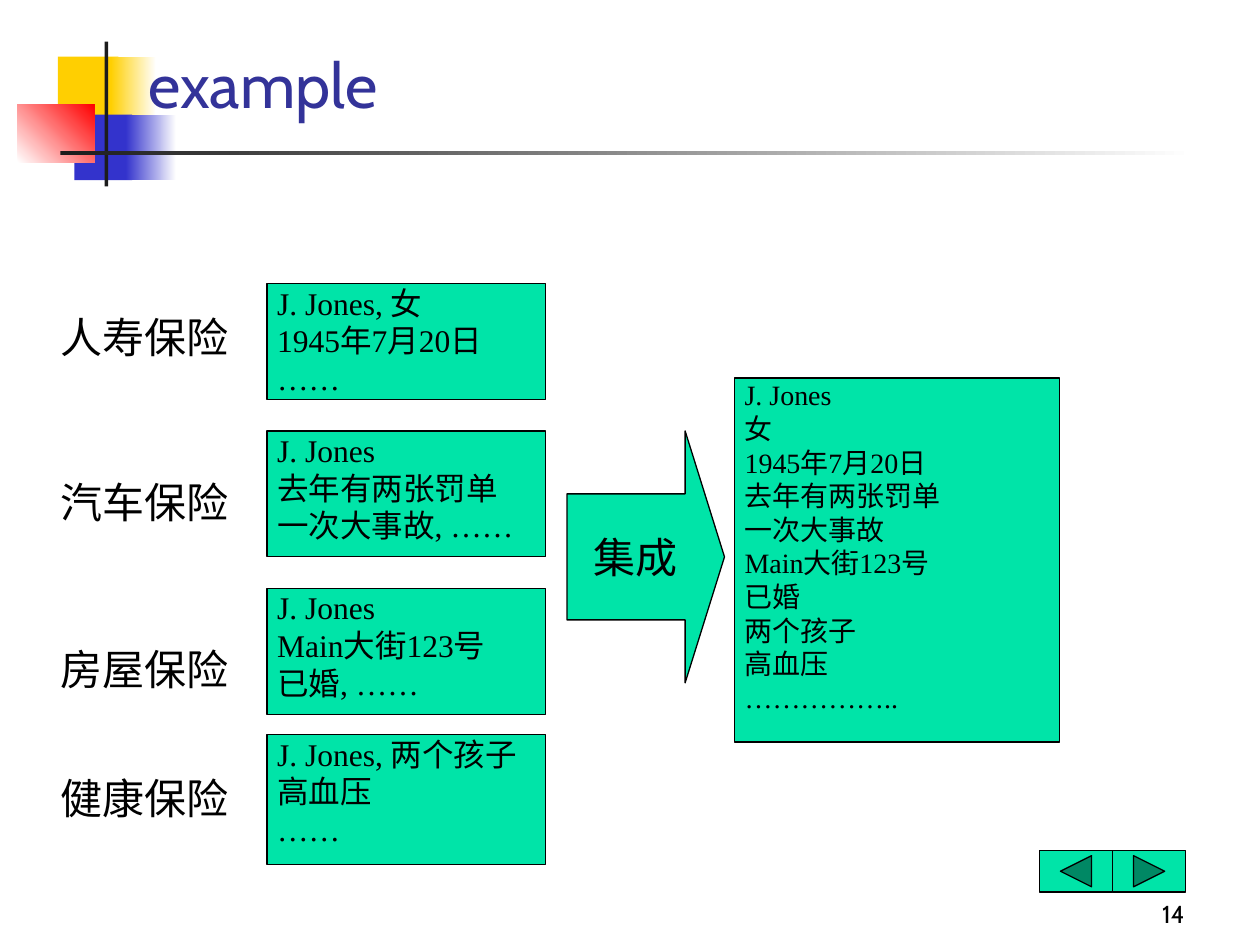
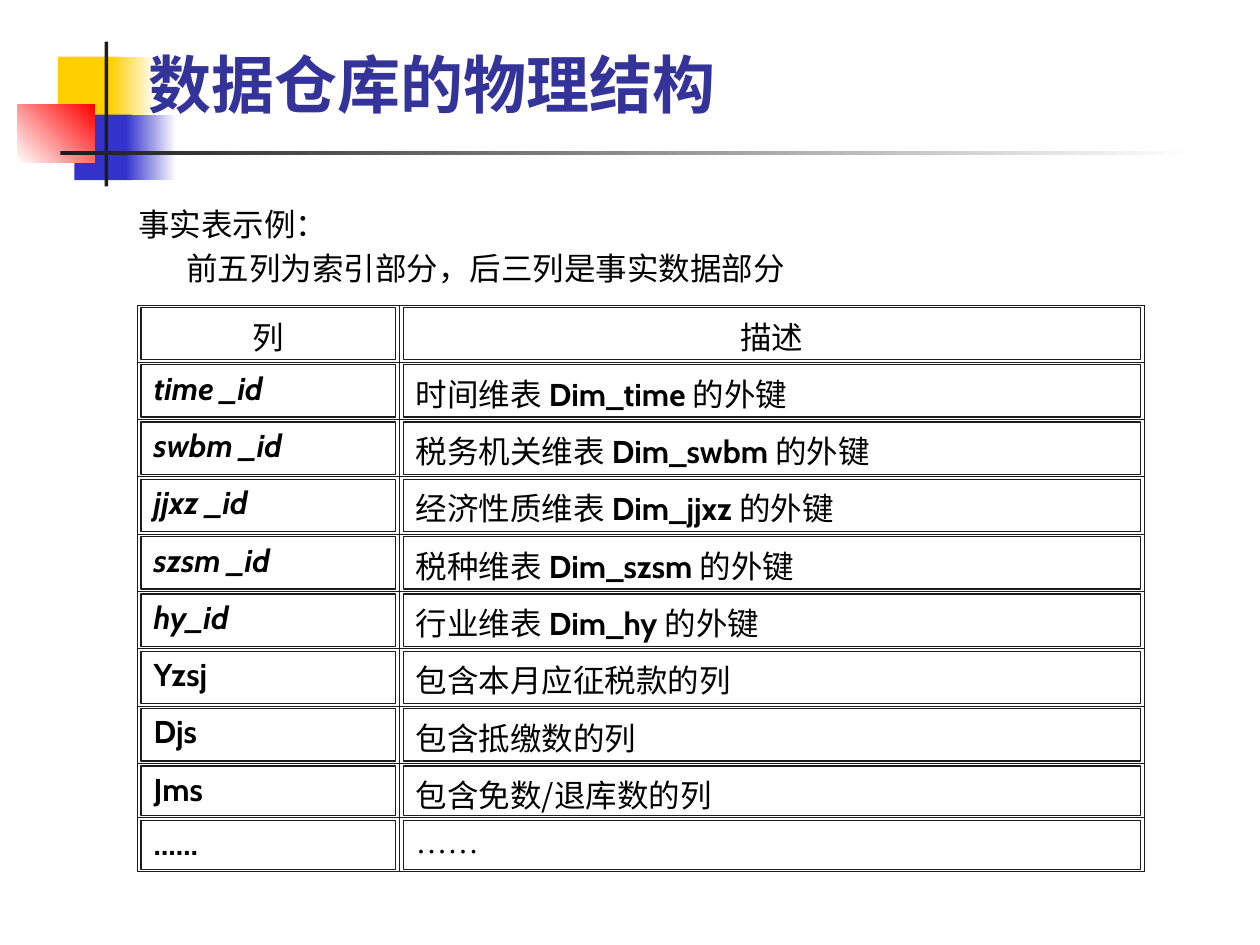
from dataclasses import dataclass
from typing import Any, Optional

from lxml.etree import SubElement
from pptx import Presentation
from pptx.dml.color import RGBColor
from pptx.enum.shapes import MSO_SHAPE
from pptx.enum.text import MSO_ANCHOR, PP_ALIGN
from pptx.oxml.ns import qn
from pptx.util import Inches, Pt

YELLOW = RGBColor(0xFF, 0xCF, 0x01)
BLUE = RGBColor(0x33, 0x33, 0xCC)
RED = RGBColor(0xFF, 0x00, 0x00)
WHITE = RGBColor(0xFF, 0xFF, 0xFF)
CHARCOAL = RGBColor(0x1C, 0x1C, 0x1C)
BLACK = RGBColor(0x00, 0x00, 0x00)
TITLE_COLOR = RGBColor(0x33, 0x33, 0x99)
GREEN = RGBColor(0x00, 0xE4, 0xA8)

CABIN = "Cabin"
NOTO = "Noto Sans CJK SC"
TIMES = "Times New Roman"


@dataclass(frozen=True)
class Box:
    """Position and size in inches."""
    left: float
    top: float
    width: float
    height: float

    def lengths(self) -> tuple:
        """Return the four lengths for python-pptx."""
        return tuple(Inches(v) for v in (self.left, self.top, self.width, self.height))


@dataclass(frozen=True)
class Style:
    """Look of a run of text."""
    size: int
    font: str = CABIN
    color: RGBColor = BLACK
    bold: bool = False
    italic: bool = False


@dataclass(frozen=True)
class Band:
    """One piece of the title decoration, fading when it has an end colour."""
    box: Box
    start: RGBColor
    end: Optional[RGBColor] = None
    angle: int = 0


@dataclass(frozen=True)
class Policy:
    """One insurance source: its label position and its record."""
    name: str
    label_top: float
    record_top: float
    record_height: float
    record: tuple


@dataclass(frozen=True)
class Column:
    """One row of the fact table: column name, description and key target."""
    name: str
    description: str
    dimension: str = ""
    is_key: bool = False


BANDS = (
    Band(Box(0.46, 0.45, 0.48, 0.52), YELLOW),
    Band(Box(0.88, 0.45, 0.36, 0.52), YELLOW, WHITE),
    Band(Box(0.59, 0.91, 0.46, 0.52), BLUE),
    Band(Box(1, 0.91, 0.4, 0.52), BLUE, WHITE),
    Band(Box(0.14, 0.83, 0.61, 0.46), WHITE, RED, 45),
    Band(Box(0.83, 0.33, 0.03, 1.15), CHARCOAL),
    Band(Box(0.48, 1.2, 9, 0.03), CHARCOAL, WHITE),
)

POLICIES = (
    Policy("人寿保险", 2.42, 2.25, 0.92, ("J. Jones, 女", "1945年7月20日", "……")),
    Policy("汽车保险", 3.73, 3.42, 1, ("J. Jones", "去年有两张罚单", "一次大事故, ……")),
    Policy("房屋保险", 5.06, 4.67, 1, ("J. Jones", "Main大街123号", "已婚, ……")),
    Policy("健康保险", 6.08, 5.83, 1.03, ("J. Jones, 两个孩子", "高血压", "……")),
)
MERGED_RECORD = ("J. Jones", "女", "1945年7月20日", "去年有两张罚单", "一次大事故",
                 "Main大街123号", "已婚", "两个孩子", "高血压", "……………..")

FACT_COLUMNS = (
    Column("time _id", "时间维表 ", "Dim_time ", True),
    Column("swbm _id", "税务机关维表 ", "Dim_swbm ", True),
    Column("jjxz _id", "经济性质维表 ", "Dim_jjxz ", True),
    Column("szsm _id", "税种维表 ", "Dim_szsm ", True),
    Column("hy_id", "行业维表 ", "Dim_hy ", True),
    Column("Yzsj", "包含本月应征税款的列"),
    Column("Djs", "包含抵缴数的列"),
    Column("Jms", "包含免数/退库数的列"),
    Column("……", "……"),
)

RECORD_FRAME = {"margin_left": Inches(0.08), "margin_right": 0, "margin_top": 0,
                "margin_bottom": 0, "vertical_anchor": MSO_ANCHOR.TOP, "word_wrap": True}
BOTTOM_FRAME = {"vertical_anchor": MSO_ANCHOR.BOTTOM, "word_wrap": True}
CELL_FORMAT = {"margin_left": Inches(0.13), "margin_right": Inches(0.13),
               "margin_top": Inches(0.06), "margin_bottom": 0,
               "vertical_anchor": MSO_ANCHOR.TOP}


def apply_format(target: Any, values: dict) -> None:
    """Set every attribute named in values."""
    for attribute, value in values.items():
        setattr(target, attribute, value)


def add_run(paragraph: Any, text: str, style: Style) -> None:
    """Append styled text to a paragraph."""
    run = paragraph.add_run()
    run.text = text
    apply_format(run.font, {"size": Pt(style.size), "name": style.font,
                            "bold": style.bold, "italic": style.italic})
    run.font.color.rgb = style.color
    SubElement(run.font._element, qn("a:ea"), typeface=NOTO)


def write_lines(frame: Any, lines: tuple, style: Style, align: PP_ALIGN) -> None:
    """Fill a text frame with one paragraph per line."""
    for index, line in enumerate(lines):
        paragraph = frame.add_paragraph() if index else frame.paragraphs[0]
        paragraph.alignment = align
        add_run(paragraph, line, style)


def add_text(slide: Any, box: Box, lines: tuple, style: Style, frame_format: dict,
             align: PP_ALIGN = PP_ALIGN.LEFT) -> Any:
    """Add a text box and return its frame."""
    frame = slide.shapes.add_textbox(*box.lengths()).text_frame
    apply_format(frame, frame_format)
    write_lines(frame, lines, style, align)
    return frame


def add_outlined(slide: Any, kind: MSO_SHAPE, box: Box, line: RGBColor = BLACK,
                 fill: Optional[RGBColor] = GREEN) -> Any:
    """Add a preset shape with a thin outline."""
    shape = slide.shapes.add_shape(kind, *box.lengths())
    shape.shadow.inherit = False
    if fill is None:
        shape.fill.background()
    else:
        shape.fill.solid()
        shape.fill.fore_color.rgb = fill
    shape.line.color.rgb = line
    shape.line.width = Pt(0.75)
    return shape


def add_band(slide: Any, band: Band) -> None:
    """Draw one piece of the title decoration."""
    shape = slide.shapes.add_shape(MSO_SHAPE.RECTANGLE, *band.box.lengths())
    shape.shadow.inherit = False
    shape.line.fill.background()
    if band.end is None:
        shape.fill.solid()
        shape.fill.fore_color.rgb = band.start
        return
    shape.fill.gradient()
    shape.fill.gradient_angle = band.angle
    for stop, color in zip(shape.fill.gradient_stops, (band.start, band.end)):
        stop.color.rgb = color


def add_titled_slide(deck: Any, title: str, style: Style) -> Any:
    """Add a blank slide with the shared decoration and title."""
    slide = deck.slides.add_slide(deck.slide_layouts[6])
    for band in BANDS:
        add_band(slide, band)
    add_text(slide, Box(1.08, 0.42, 8.52, 0.59), (title,), style, BOTTOM_FRAME)
    return slide


def add_record(slide: Any, box: Box, lines: tuple, size: int) -> None:
    """Draw a green customer record."""
    frame = add_outlined(slide, MSO_SHAPE.RECTANGLE, box).text_frame
    apply_format(frame, RECORD_FRAME)
    write_lines(frame, lines, Style(size, TIMES), PP_ALIGN.JUSTIFY)


def add_policy(slide: Any, policy: Policy) -> None:
    """Draw an insurance label with its record."""
    add_record(slide, Box(2.12, policy.record_top, 2.21, policy.record_height),
               policy.record, 18)
    add_text(slide, Box(0.38, policy.label_top, 1.53, 0.5), (policy.name,), Style(24),
             {"word_wrap": False})


def build_integration(deck: Any) -> None:
    """Build the slide that merges four policies into one record."""
    slide = add_titled_slide(deck, "example", Style(36, color=TITLE_COLOR))
    add_text(slide, Box(7.42, 6.92, 2.08, 0.5), ("14",), Style(14), BOTTOM_FRAME,
             PP_ALIGN.RIGHT)
    add_record(slide, Box(5.83, 3, 2.58, 2.89), MERGED_RECORD, 16)
    arrow = add_outlined(slide, MSO_SHAPE.RIGHT_ARROW, Box(4.5, 3.42, 1.25, 2))
    arrow.adjustments[0] = 0.5
    arrow.adjustments[1] = 0.25
    apply_format(arrow.text_frame, {"word_wrap": False,
                                    "vertical_anchor": MSO_ANCHOR.MIDDLE})
    write_lines(arrow.text_frame, ("集成",), Style(24), PP_ALIGN.CENTER)
    for policy in POLICIES:
        add_policy(slide, policy)
    buttons = (MSO_SHAPE.ACTION_BUTTON_BACK_OR_PREVIOUS,
               MSO_SHAPE.ACTION_BUTTON_FORWARD_OR_NEXT)
    for index, kind in enumerate(buttons):
        add_outlined(slide, kind, Box(8.25 + 0.58 * index, 6.75, 0.58, 0.33))


def format_cell(cell: Any) -> None:
    """Give a cell thin borders, no fill and its margins."""
    properties = cell._tc.get_or_add_tcPr()
    for side in ("a:lnL", "a:lnR", "a:lnT", "a:lnB"):
        border = SubElement(properties, qn(side), w=str(Pt(0.5)))
        solid = SubElement(border, qn("a:solidFill"))
        SubElement(solid, qn("a:srgbClr"), val=str(CHARCOAL))
    cell.fill.background()
    apply_format(cell, CELL_FORMAT)


def write_column(name_cell: Any, description_cell: Any, column: Column) -> None:
    """Write one row of the fact table."""
    name_style = Style(18, bold=True, italic=column.is_key)
    write_lines(name_cell.text_frame, (column.name,), name_style, PP_ALIGN.JUSTIFY)
    plain = Style(18, TIMES if column.description == "……" else NOTO)
    write_lines(description_cell.text_frame, (column.description,), plain,
                PP_ALIGN.JUSTIFY)
    if column.dimension:
        paragraph = description_cell.text_frame.paragraphs[0]
        add_run(paragraph, column.dimension, Style(18, bold=True))
        add_run(paragraph, "的外键", plain)


def add_fact_table(slide: Any) -> None:
    """Draw the fact table with an inner frame in every cell."""
    left, top, widths = 1.09, 2.42, (2.08, 5.91)
    heights = [3.64 / 8] * 8 + [0.43] * 2
    area = Box(left, top, sum(widths), sum(heights))
    table = slide.shapes.add_table(len(heights), len(widths), *area.lengths()).table
    apply_format(table, {"first_row": False, "horz_banding": False})
    for grid_column, width in zip(table.columns, widths):
        grid_column.width = Inches(width)
    for row_index, height in enumerate(heights):
        table.rows[row_index].height = Inches(height)
        cells = table.rows[row_index].cells
        for column_index, width in enumerate(widths):
            format_cell(cells[column_index])
            inner = Box(left + sum(widths[:column_index]) + 0.03,
                        top + sum(heights[:row_index]) + 0.02, width - 0.06, height - 0.04)
            add_outlined(slide, MSO_SHAPE.RECTANGLE, inner, CHARCOAL, None)
        if row_index:
            write_column(cells[0], cells[1], FACT_COLUMNS[row_index - 1])
        else:
            for cell, heading in zip(cells, ("列", "描述")):
                write_lines(cell.text_frame, (heading,), Style(18, NOTO), PP_ALIGN.CENTER)


def build_fact_table(deck: Any) -> None:
    """Build the slide on the physical structure of the warehouse."""
    slide = add_titled_slide(deck, "数据仓库的物理结构",
                             Style(36, NOTO, TITLE_COLOR, bold=True))
    intro = add_text(slide, Box(1, 1.58, 8.42, 0.8),
                     ("事实表示例：", "前五列为索引部分，后三列是事实数据部分"),
                     Style(18), {"word_wrap": True})
    for paragraph in intro.paragraphs:
        paragraph.space_before = Pt(3.6)
    intro.paragraphs[1]._p.get_or_add_pPr().set("marL", str(Inches(0.38)))
    add_fact_table(slide)


def main() -> None:
    """Build and save the deck."""
    deck = Presentation()
    deck.slide_width = Inches(10)
    deck.slide_height = Inches(7.5)
    build_integration(deck)
    build_fact_table(deck)
    deck.save("out.pptx")


if __name__ == "__main__":
    main()
